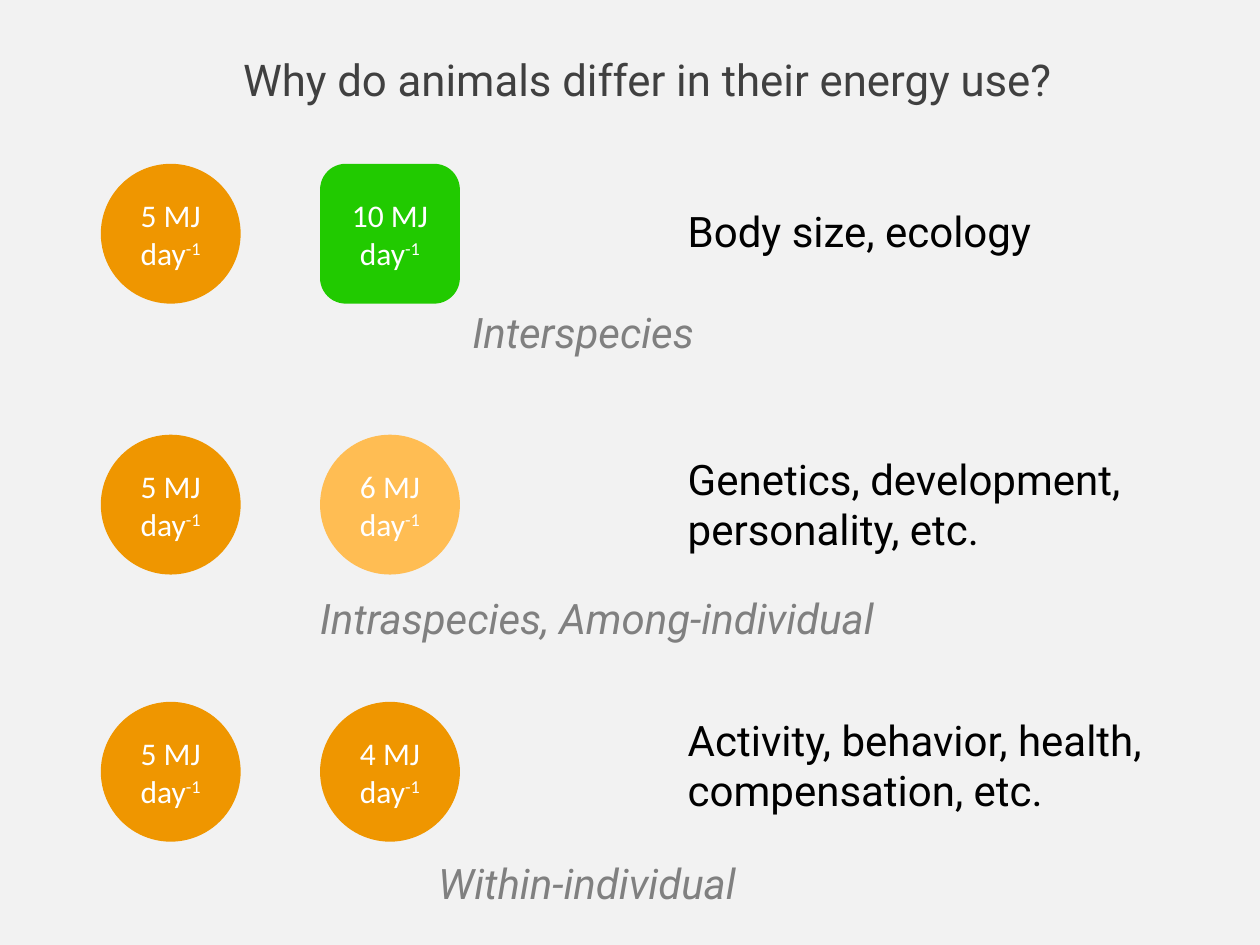
from dataclasses import dataclass
from typing import Any

from pptx import Presentation
from pptx.dml.color import RGBColor
from pptx.enum.shapes import MSO_SHAPE
from pptx.enum.text import MSO_ANCHOR, MSO_AUTO_SIZE, PP_ALIGN
from pptx.util import Inches, Pt


@dataclass(frozen=True)
class Theme:
    background: str = "F2F2F2"
    title: str = "404040"
    body: str = "000000"
    caption: str = "808080"
    animal_text: str = "FFFFFF"
    orange: str = "EF9600"
    pale_orange: str = "FFBD53"
    green: str = "21CA00"
    heading_font: str = "Roboto"
    animal_font: str = "Calibri"
    title_size: int = 25
    body_size: int = 24
    animal_size: int = 18


@dataclass(frozen=True)
class Area:
    column: float
    row: float
    columns: float
    rows: float

    def lengths(self) -> tuple[int, int, int, int]:
        return (
            int(self.column * COLUMN),
            int(self.row * ROW),
            int(self.columns * COLUMN),
            int(self.rows * ROW),
        )


@dataclass(frozen=True)
class Animal:
    energy: str
    color: str
    shape: MSO_SHAPE = MSO_SHAPE.OVAL


@dataclass(frozen=True)
class Comparison:
    row: float
    other: Animal
    causes: str
    causes_area: Area
    level: str
    level_area: Area


THEME = Theme()
WIDTH, HEIGHT = Inches(10), Inches(7.5)
COLUMN, ROW = WIDTH / 100, HEIGHT / 75
ANIMAL_COLUMNS = (8, 25.4)
ANIMAL_SIZE = 11.1
CORNER = 0.184
REFERENCE = Animal("5 MJ", THEME.orange)

COMPARISONS = (
    Comparison(
        13, Animal("10 MJ", THEME.green, MSO_SHAPE.ROUNDED_RECTANGLE),
        "Body size, ecology", Area(53.6, 15.8, 42.9, 5),
        "Interspecies", Area(36.5, 23.8, 20.2, 5),
    ),
    Comparison(
        34.5, Animal("6 MJ", THEME.pale_orange),
        "Genetics, development, personality, etc.", Area(53.6, 35.5, 42.9, 9.1),
        "Intraspecies, Among-individual", Area(24.4, 46.5, 50.5, 5),
    ),
    Comparison(
        55.7, Animal("4 MJ", THEME.orange),
        "Activity, behavior, health, compensation, etc.", Area(53.6, 56.2, 42.9, 9.1),
        "Within-individual", Area(33.8, 67.6, 28.4, 5),
    ),
)


def set_values(target: Any, values: dict[str, Any]) -> None:
    for name, value in values.items():
        setattr(target, name, value)


def add_span(para: Any, text: str, color: str, values: dict[str, Any]) -> Any:
    span = para.add_run()
    span.text = text
    set_values(span.font, values)
    span.font.color.rgb = RGBColor.from_string(color)
    return span


def add_text(page: Any, area: Area, text: str, color: str, size: int,
             wrap: bool = True, italic: bool = False) -> Any:
    box = page.shapes.add_textbox(*area.lengths())
    set_values(box.text_frame, {"word_wrap": wrap, "auto_size": MSO_AUTO_SIZE.NONE})
    para = box.text_frame.paragraphs[0]
    add_span(para, text, color,
             {"name": THEME.heading_font, "size": Pt(size), "italic": italic})
    return para


def add_animal(page: Any, animal: Animal, column: float, row: float) -> None:
    area = Area(column, row, ANIMAL_SIZE, ANIMAL_SIZE)
    shape = page.shapes.add_shape(animal.shape, *area.lengths())
    if animal.shape == MSO_SHAPE.ROUNDED_RECTANGLE:
        shape.adjustments[0] = CORNER
    shape.shadow.inherit = False
    shape.fill.solid()
    shape.fill.fore_color.rgb = RGBColor.from_string(animal.color)
    shape.line.fill.background()
    set_values(shape.text_frame,
               {"word_wrap": True, "vertical_anchor": MSO_ANCHOR.MIDDLE})
    para = shape.text_frame.paragraphs[0]
    para.alignment = PP_ALIGN.CENTER
    values = {"name": THEME.animal_font, "size": Pt(THEME.animal_size)}
    add_span(para, f"{animal.energy} day", THEME.animal_text, values)
    exponent = add_span(para, "-1", THEME.animal_text, values)
    exponent._r.get_or_add_rPr().set("baseline", "30000")


def add_comparison(page: Any, comparison: Comparison) -> None:
    for animal, column in zip((REFERENCE, comparison.other), ANIMAL_COLUMNS):
        add_animal(page, animal, column, comparison.row)
    add_text(page, comparison.causes_area, comparison.causes,
             THEME.body, THEME.body_size)
    add_text(page, comparison.level_area, comparison.level,
             THEME.caption, THEME.body_size, wrap=False, italic=True)


def main() -> None:
    deck = Presentation()
    set_values(deck, {"slide_width": WIDTH, "slide_height": HEIGHT})
    page = deck.slides.add_slide(deck.slide_layouts[6])
    page.background.fill.solid()
    page.background.fill.fore_color.rgb = RGBColor.from_string(THEME.background)
    title = add_text(page, Area(15.6, 4.2, 71.5, 13.9),
                     "Why do animals differ in their energy use?",
                     THEME.title, THEME.title_size)
    set_values(title, {"alignment": PP_ALIGN.CENTER, "line_spacing": 0.9})
    for comparison in COMPARISONS:
        add_comparison(page, comparison)
    deck.save("out.pptx")


if __name__ == "__main__":
    main()
